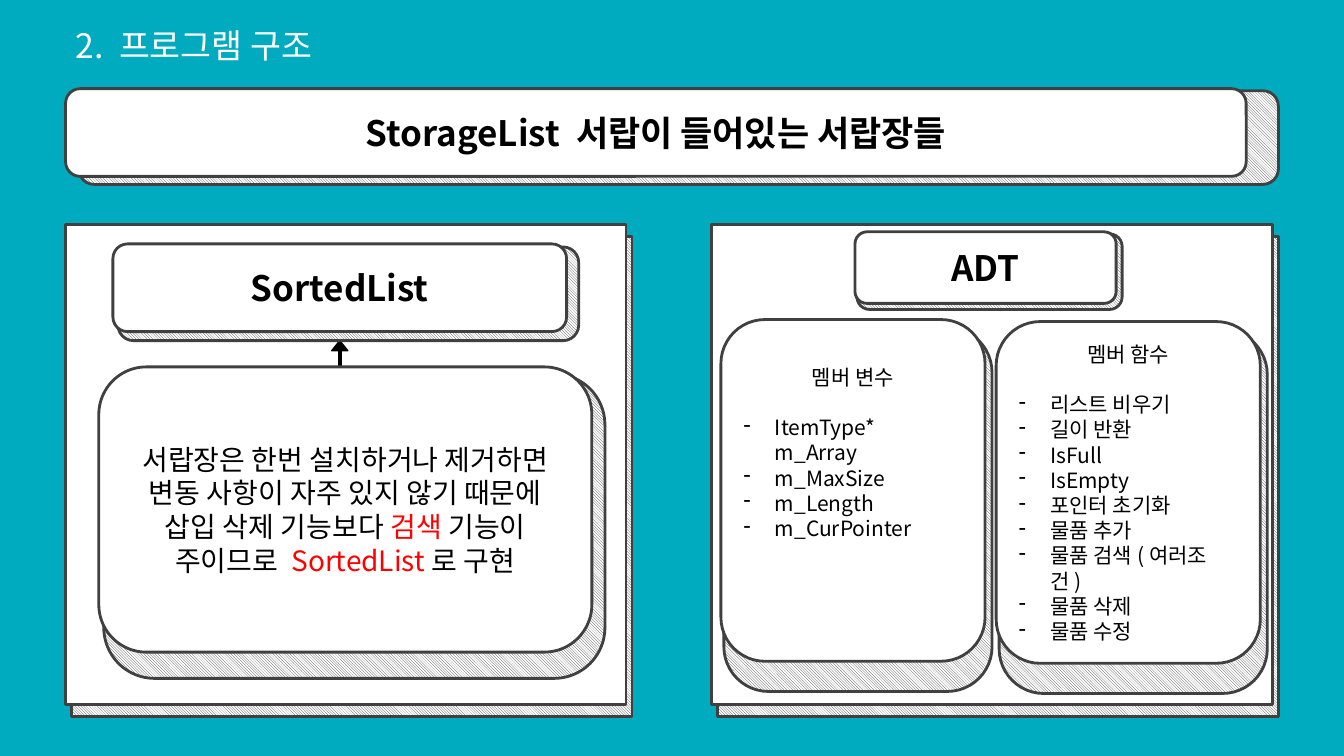
from dataclasses import dataclass

from lxml import etree
from pptx import Presentation
from pptx.dml.color import RGBColor
from pptx.enum.dml import MSO_PATTERN
from pptx.enum.shapes import MSO_CONNECTOR, MSO_SHAPE
from pptx.enum.text import MSO_ANCHOR, MSO_AUTO_SIZE, PP_ALIGN
from pptx.oxml.ns import qn
from pptx.shapes.autoshape import Shape
from pptx.slide import Slide
from pptx.text.text import TextFrame
from pptx.util import Inches, Pt

RECT = MSO_SHAPE.RECTANGLE
ROUND = MSO_SHAPE.ROUNDED_RECTANGLE
TRIANGLE = MSO_SHAPE.ISOSCELES_TRIANGLE
STRAIGHT = MSO_CONNECTOR.STRAIGHT
HATCH = MSO_PATTERN.DARK_DOWNWARD_DIAGONAL
CENTER, LEFT = PP_ALIGN.CENTER, PP_ALIGN.LEFT
MIDDLE = MSO_ANCHOR.MIDDLE
FIT_TEXT = MSO_AUTO_SIZE.SHAPE_TO_FIT_TEXT


@dataclass(frozen=True)
class Theme:
    font: str = "Noto Sans CJK KR"
    teal: str = "00ABBF"
    white: str = "FFFFFF"
    black: str = "000000"
    red: str = "FF0000"
    outline: str = "404040"
    title: int = 24
    heading: int = 25
    body: int = 20
    item: int = 15
    item_line: int = 18
    border: int = 2


T = Theme()


@dataclass(frozen=True)
class Box:
    x: float
    y: float
    w: float
    h: float


@dataclass(frozen=True)
class Card:
    """A white face in front of a hatched back."""
    face: Box
    back: Box
    kind: int = ROUND
    heading: str = ""


@dataclass(frozen=True)
class MemberList:
    card: Card
    title: str
    items: tuple[str, ...]
    bottom: float = 0.05


PANELS = [Card(Box(x, 2.23, 5.56, 4.76), Box(x + 0.06, 2.35, 5.56, 4.76), RECT)
          for x in (0.65, 7.06)]
BANNER = Card(Box(0.65, 0.88, 11.71, 0.87), Box(0.78, 0.9, 11.9, 0.93),
              heading="StorageList 서랍이 들어있는 서랍장들")
REASON = Card(Box(0.98, 3.64, 4.89, 2.83), Box(1.03, 3.71, 4.97, 3.02))
HEADINGS = [
    Card(Box(1.12, 2.42, 4.5, 0.87), Box(1.17, 2.45, 4.57, 0.93), heading="SortedList"),
    Card(Box(8.48, 2.3, 2.59, 0.71), Box(8.5, 2.32, 2.63, 0.75), heading="ADT"),
]
REASON_RUNS = [
    ("서랍장은 한번 설치하거나 제거하면 변동 사항이 자주 있지 않기 때문에 "
     "삽입 삭제 기능보다 ", T.black),
    ("검색", T.red),
    (" 기능이 주이므로 ", T.black),
    ("SortedList", T.red),
    ("로 구현", T.black),
]


def member_card(x: float, y: float) -> Card:
    return Card(Box(x, y, 2.62, 3.39), Box(x + 0.03, y + 0.08, 2.66, 3.61))


MEMBERS = [
    MemberList(member_card(7.15, 3.17), "멤버 변수",
               ("ItemType* m_Array", "m_MaxSize", "m_Length", "m_CurPointer"),
               bottom=0.8),
    MemberList(member_card(9.88, 3.19), "멤버 함수",
               ("리스트 비우기", "길이 반환", "IsFull", "IsEmpty", "포인터 초기화",
                "물품 추가", "물품 검색(여러조건)", "물품 삭제", "물품 수정")),
]


def rgb(color: str) -> RGBColor:
    return RGBColor.from_string(color)


def add_text(tf: TextFrame, text: str | list[tuple[str, str]], *, size: int,
             color: str = T.black, bold: bool = False, align: int = CENTER,
             after: float = 0, spacing: float = 1.0, bullet: str = "") -> None:
    """Add a paragraph; a list gives runs as (text, colour) pairs."""
    p = tf.paragraphs[0] if not tf.text else tf.add_paragraph()
    p.alignment, p.space_after, p.line_spacing = align, Pt(after), spacing
    if bullet:
        pPr = p._p.get_or_add_pPr()
        pPr.set("marL", str(Inches(0.31)))
        pPr.set("indent", str(-Inches(0.31)))
        etree.SubElement(pPr, qn("a:buChar")).set("char", bullet)
    for words, run_color in [(text, color)] if isinstance(text, str) else text:
        r = p.add_run()
        r.text = words
        r.font.size, r.font.bold, r.font.name = Pt(size), bold, T.font
        r.font.color.rgb = rgb(run_color)
        etree.SubElement(r._r.get_or_add_rPr(), qn("a:ea")).set("typeface", T.font)


def add_shape(s: Slide, kind: int, box: Box, *, fill: str = T.white,
              line: str = T.outline, width: float = T.border,
              hatched: bool = False) -> Shape:
    sp = s.shapes.add_shape(kind, *map(Inches, (box.x, box.y, box.w, box.h)))
    sp.shadow.inherit = False
    if hatched:
        sp.fill.patterned()
        sp.fill.pattern = HATCH
        sp.fill.fore_color.rgb = rgb(line)
        sp.fill.back_color.rgb = rgb(fill)
    else:
        sp.fill.solid()
        sp.fill.fore_color.rgb = rgb(fill)
    sp.line.color.rgb, sp.line.width = rgb(line), Pt(width)
    return sp


def add_card(s: Slide, card: Card) -> TextFrame:
    add_shape(s, card.kind, card.back, hatched=True)
    tf = add_shape(s, card.kind, card.face).text_frame
    tf.word_wrap, tf.vertical_anchor = True, MIDDLE
    if card.heading:
        add_text(tf, card.heading, size=T.heading, bold=True)
    return tf


def add_arrow(s: Slide) -> None:
    x = Inches(3.37)
    line = s.shapes.add_connector(STRAIGHT, x, Inches(3.29), x, Inches(3.81))
    line.line.color.rgb, line.line.width = rgb(T.black), Pt(3)
    etree.SubElement(line._element.spPr, qn("a:effectLst"))
    add_shape(s, TRIANGLE, Box(3.29, 3.38, 0.16, 0.1),
              fill=T.black, line=T.black, width=1)


def add_members(s: Slide, members: MemberList) -> None:
    tf = add_card(s, members.card)
    tf.margin_bottom = Inches(members.bottom)
    add_text(tf, members.title, size=T.item, after=T.item_line)
    for item in members.items:
        add_text(tf, item, size=T.item, align=LEFT, bullet="-")


def add_title(s: Slide) -> None:
    tf = s.shapes.add_textbox(Inches(0.65), 0, Inches(6.03), Inches(0.64)).text_frame
    tf.word_wrap, tf.auto_size = True, FIT_TEXT
    add_text(tf, "2. 프로그램 구조", size=T.title, color=T.white,
             align=LEFT, spacing=1.5)


def main() -> None:
    prs = Presentation()
    prs.slide_width, prs.slide_height = Inches(13.33), Inches(7.5)
    s = prs.slides.add_slide(prs.slide_layouts[6])
    s.background.fill.solid()
    s.background.fill.fore_color.rgb = rgb(T.teal)
    for card in [*PANELS, BANNER]:
        add_card(s, card)
    add_arrow(s)
    add_text(add_card(s, REASON), REASON_RUNS, size=T.body)
    for card in HEADINGS:
        add_card(s, card)
    for members in MEMBERS:
        add_members(s, members)
    add_title(s)
    prs.save("out.pptx")


if __name__ == "__main__":
    main()
